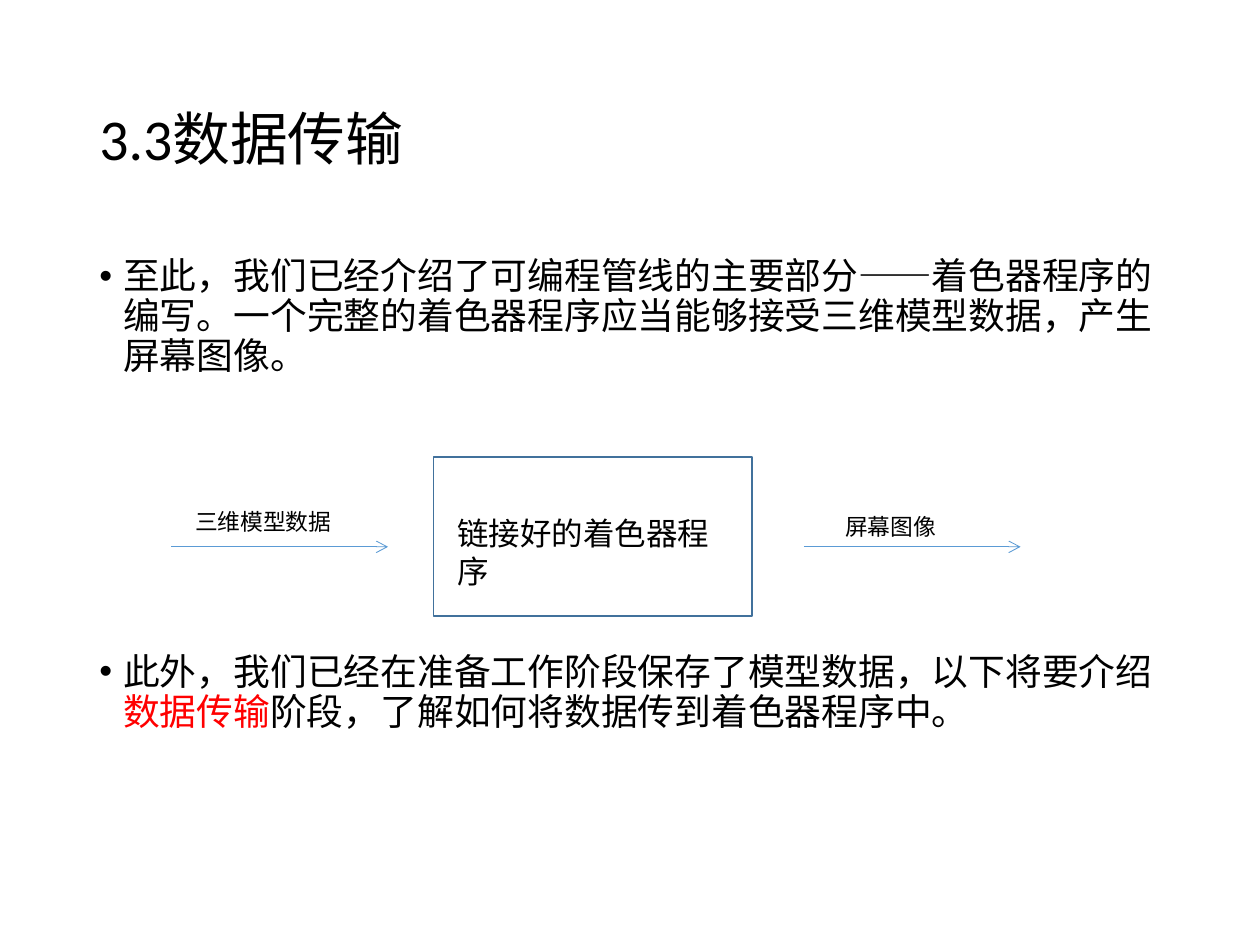
from lxml.etree import SubElement
from pptx import Presentation
from pptx.dml.color import RGBColor
from pptx.enum.shapes import MSO_CONNECTOR, MSO_SHAPE
from pptx.enum.text import MSO_ANCHOR
from pptx.oxml.ns import qn
from pptx.util import Inches, Pt


def rgb(value):
    return RGBColor.from_string(value)


class Deck:
    """Holds the style and the current slide, and draws each kind of element."""

    FONT = "Calibri"
    INK = "000000"
    RED = "FF0000"
    ARROW = "5B9BD5"
    BORDER = "41719C"

    def __init__(self, width, height):
        self.prs = Presentation()
        self.prs.slide_width = Inches(width)
        self.prs.slide_height = Inches(height)
        self.s = self.prs.slides.add_slide(self.prs.slide_layouts[6])

    def frame(self, x, y, w, h, anchor=MSO_ANCHOR.TOP):
        box = self.s.shapes.add_textbox(Inches(x), Inches(y), Inches(w), Inches(h))
        tf = box.text_frame
        tf.word_wrap = True
        tf.vertical_anchor = anchor
        return tf

    def run(self, p, text, size, color=INK):
        r = p.add_run()
        r.text = text
        r.font.name = self.FONT
        r.font.size = Pt(size)
        r.font.color.rgb = rgb(color)

    def label(self, text, x, y, w, h, size):
        self.run(self.frame(x, y, w, h).paragraphs[0], text, size)

    def title(self, text, x, y, w, h):
        p = self.frame(x, y, w, h, MSO_ANCHOR.MIDDLE).paragraphs[0]
        p.line_spacing = 0.9
        self.run(p, text, 33)

    def bullets(self, items, x, y, w, h, gap):
        tf = self.frame(x, y, w, h)
        for i, parts in enumerate(items):
            p = tf.add_paragraph() if i else tf.paragraphs[0]
            p.line_spacing = 0.9
            p.space_before = Pt(gap if i else 0)
            pPr = p._p.get_or_add_pPr()
            pPr.set("marL", str(Inches(0.19)))
            pPr.set("indent", str(Inches(-0.19)))
            SubElement(pPr, qn("a:buFont"), typeface="Arial")
            SubElement(pPr, qn("a:buChar"), char="•")
            for text, color in parts:
                self.run(p, text, 21, color)

    def box(self, x, y, w, h):
        sp = self.s.shapes.add_shape(
            MSO_SHAPE.RECTANGLE, Inches(x), Inches(y), Inches(w), Inches(h))
        sp.shadow.inherit = False
        sp.fill.background()
        sp.line.color.rgb = rgb(self.BORDER)
        sp.line.width = Pt(1)

    def arrow(self, x, y, length):
        line = self.s.shapes.add_connector(
            MSO_CONNECTOR.STRAIGHT, Inches(x), Inches(y), Inches(x + length), Inches(y))
        line.line.color.rgb = rgb(self.ARROW)
        line.line.width = Pt(0.5)
        SubElement(line.line._get_or_add_ln(), qn("a:tailEnd"), type="arrow")
        SubElement(line._element.spPr, qn("a:effectLst"))


def main():
    deck = Deck(10, 7.5)
    deck.title("3.3数据传输", 0.69, 0.4, 8.63, 1.45)
    deck.bullets([
        [("至此，我们已经介绍了可编程管线的主要部分——着色器程序的编写。"
          "一个完整的着色器程序应当能够接受三维模型数据，产生屏幕图像。", deck.INK)],
        [("此外，我们已经在准备工作阶段保存了模型数据，以下将要介绍", deck.INK),
         ("数据传输", deck.RED),
         ("阶段，了解如何将数据传到着色器程序中。", deck.INK)],
    ], 0.69, 2, 8.63, 4.76, gap=158)
    deck.box(3.44, 3.63, 2.53, 1.26)
    deck.label("链接好的着色器程序", 3.53, 4.03, 2.43, 0.7, 18)
    for x in (1.36, 6.38):
        deck.arrow(x, 4.34, 1.72)
    deck.label("三维模型数据", 1.45, 3.98, 1.53, 0.32, 13)
    deck.label("屏幕图像", 6.61, 4.02, 1.47, 0.32, 13)
    deck.prs.save("out.pptx")


if __name__ == "__main__":
    main()
